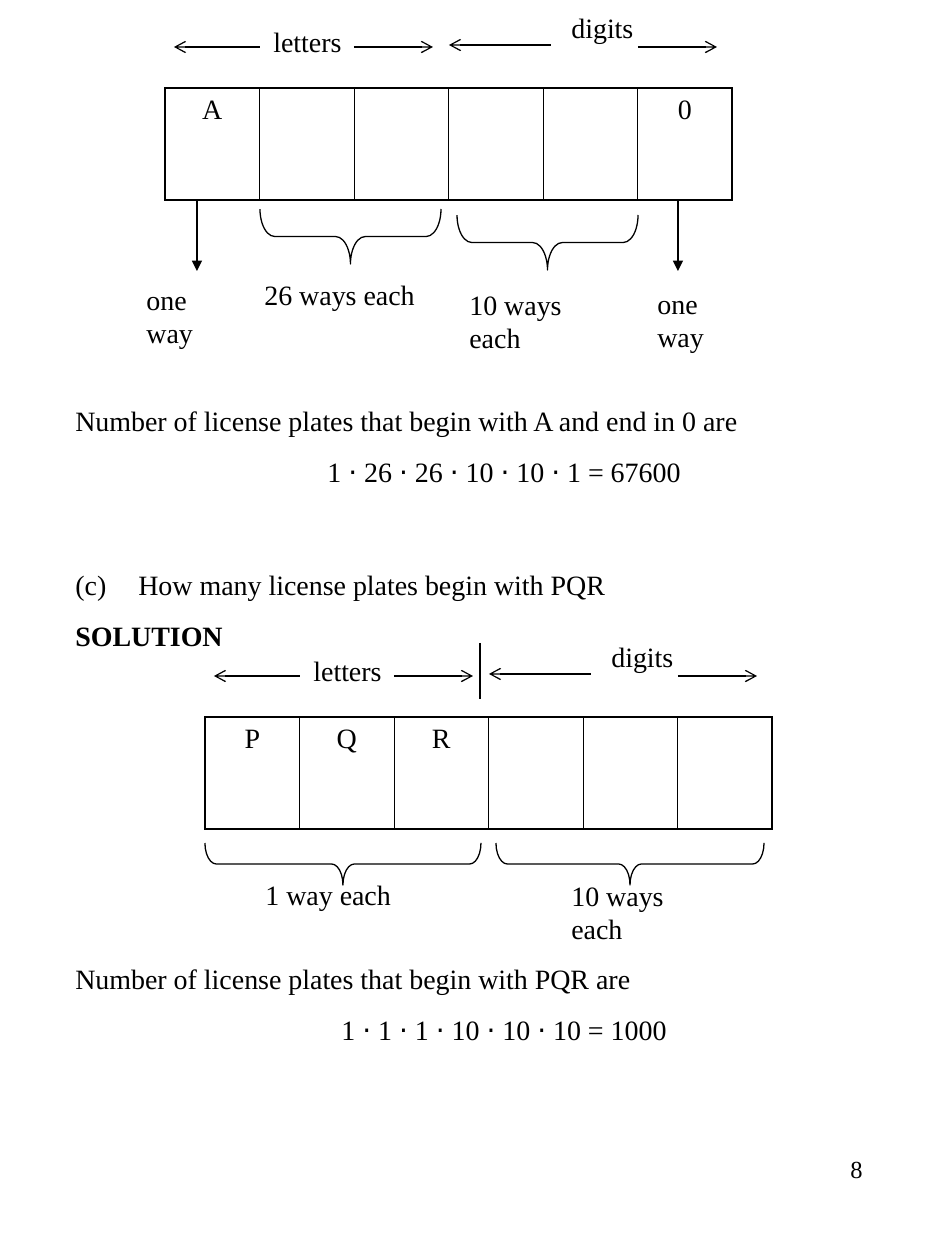
from dataclasses import dataclass

from lxml import etree
from pptx import Presentation
from pptx.dml.color import RGBColor
from pptx.enum import shapes, text
from pptx.oxml.ns import qn
from pptx.util import Pt

PX = 914400 / 126
SERIF = "Times New Roman"
DOT = "⋅"
BLACK = "000000"
LEFT, CENTER, RIGHT = text.PP_ALIGN.LEFT, text.PP_ALIGN.CENTER, text.PP_ALIGN.RIGHT


@dataclass
class Label:
    words: str
    x: int
    y: int
    width: int
    wrap: bool = False
    height: int = 47
    size: int = 16
    align: text.PP_ALIGN = LEFT


@dataclass
class Stroke:
    x1: int
    y1: int
    x2: int
    y2: int
    head: str = ""
    tail: str = ""


@dataclass
class Brace:
    x: int
    y: int
    width: int
    height: int


@dataclass
class Line:
    words: str
    align: text.PP_ALIGN = LEFT
    bold: bool = False


@dataclass
class Passage:
    y: int
    height: int
    lines: list[Line]


@dataclass
class Plate:
    x: int
    y: int
    symbols: str


PLATES = [Plate(165, 88, "A    0"), Plate(205, 717, "PQR   ")]
PLATE_WIDTH, PLATE_HEIGHT = 567, 112

PLATE_LABELS = [Label("letters", 96, -70, 93), Label("digits", 394, -84, 87)]
PLATE_ARROWS = [
    Stroke(9, -41, 95, -41, head="arrow"),
    Stroke(189, -41, 268, -41, tail="arrow"),
    Stroke(284, -43, 386, -43, head="arrow"),
    Stroke(473, -41, 552, -41, tail="arrow"),
]

WAYS = [
    Label("26 ways each", 252, 271, 189, wrap=True),
    Label("10 ways each", 457, 281, 175),
    Label("one way", 134, 276, 118),
    Label("one way", 645, 280, 118),
    Label("1 way each", 253, 871, 189, wrap=True),
    Label("10 ways each", 559, 872, 175),
]
PAGE_NUMBER = Label("8", 678, 1148, 197, wrap=True, height=84, size=14, align=RIGHT)

STROKES = [
    Stroke(197, 200, 197, 271, tail="triangle"),
    Stroke(678, 200, 678, 271, tail="triangle"),
    Stroke(480, 643, 480, 699),
]
BRACES = [
    Brace(260, 209, 181, 55),
    Brace(457, 215, 181, 55),
    Brace(205, 843, 276, 42),
    Brace(496, 843, 268, 42),
]
PASSAGES = [
    Passage(397, 97, [
        Line("Number of license plates that begin with A and end in 0 are"),
        Line("1 ⋅ 26 ⋅ 26 ⋅ 10 ⋅ 10 ⋅ 1 = 67600", CENTER),
    ]),
    Passage(561, 149, [
        Line("(c)\tHow many license plates begin with PQR"),
        Line("SOLUTION", bold=True),
    ]),
    Passage(955, 97, [
        Line("Number of license plates that begin with PQR are"),
        Line("1 ⋅ 1 ⋅ 1 ⋅ 10 ⋅ 10 ⋅ 10 = 1000", CENTER),
    ]),
]


def px(length: float) -> int:
    return round(length * PX)


def color(value: str) -> RGBColor:
    return RGBColor.from_string(value)


def add_run(paragraph, words: str, size: int = 16, bold: bool = False, face: str = SERIF) -> None:
    run = paragraph.add_run()
    run.text = words
    run.font.name = face
    run.font.size = Pt(size)
    run.font.bold = bold
    run.font.color.rgb = color(BLACK)


def draw_label(slide, label: Label, dx: int = 0, dy: int = 0) -> None:
    box = slide.shapes.add_textbox(
        px(label.x + dx), px(label.y + dy), px(label.width), px(label.height))
    box.text_frame.word_wrap = label.wrap
    paragraph = box.text_frame.paragraphs[0]
    paragraph.alignment = label.align
    add_run(paragraph, label.words, label.size)


def draw_stroke(slide, stroke: Stroke, dx: int = 0, dy: int = 0) -> None:
    connector = slide.shapes.add_connector(
        shapes.MSO_CONNECTOR.STRAIGHT,
        px(stroke.x1 + dx), px(stroke.y1 + dy), px(stroke.x2 + dx), px(stroke.y2 + dy))
    connector.line.color.rgb = color(BLACK)
    connector.line.width = Pt(0.75)
    properties = connector._element.spPr
    outline = properties.find(qn("a:ln"))
    for tag, kind in (("a:headEnd", stroke.head), ("a:tailEnd", stroke.tail)):
        if kind:
            etree.SubElement(outline, qn(tag), type=kind)
    etree.SubElement(properties, qn("a:effectLst"))


def draw_brace(slide, brace: Brace) -> None:
    shift = (brace.width - brace.height) / 2
    shape = slide.shapes.add_shape(
        shapes.MSO_SHAPE.LEFT_BRACE, px(brace.x + shift), px(brace.y - shift),
        px(brace.height), px(brace.width))
    shape.rotation = 270
    shape.adjustments[0] = 0.27
    shape.shadow.inherit = False
    shape.fill.background()
    shape.line.color.rgb = color(BLACK)
    shape.line.width = Pt(0.75)


def add_border(cell, side: str, width: float) -> None:
    border = etree.SubElement(cell._tc.get_or_add_tcPr(), qn(f"a:ln{side}"), w=str(Pt(width)))
    fill = etree.SubElement(border, qn("a:solidFill"))
    etree.SubElement(fill, qn("a:srgbClr"), val=BLACK)


def draw_plate(slide, plate: Plate) -> None:
    count = len(plate.symbols)
    table = slide.shapes.add_table(
        1, count, px(plate.x), px(plate.y), px(PLATE_WIDTH), px(PLATE_HEIGHT)).table
    for index, symbol in enumerate(plate.symbols):
        table.columns[index].width = px(PLATE_WIDTH / count)
        cell = table.cell(0, index)
        add_border(cell, "L", 1.08 if index == 0 else 0.45)
        add_border(cell, "R", 1.08 if index == count - 1 else 0.45)
        add_border(cell, "T", 1.08)
        add_border(cell, "B", 1.08)
        cell.fill.background()
        if symbol.strip():
            paragraph = cell.text_frame.paragraphs[0]
            paragraph.alignment = CENTER
            paragraph.space_before = Pt(4)
            add_run(paragraph, symbol)
    for label in PLATE_LABELS:
        draw_label(slide, label, plate.x, plate.y)
    for arrow in PLATE_ARROWS:
        draw_stroke(slide, arrow, plate.x, plate.y)


def draw_passage(slide, passage: Passage) -> None:
    frame = slide.shapes.add_textbox(0, px(passage.y), px(945), px(passage.height)).text_frame
    frame.word_wrap = True
    for index, line in enumerate(passage.lines):
        paragraph = frame.add_paragraph() if index else frame.paragraphs[0]
        paragraph.alignment = line.align
        paragraph.space_before = Pt(10)
        properties = paragraph._p.get_or_add_pPr()
        properties.set("marL", str(px(63)))
        properties.set("indent", "0")
        stops = etree.SubElement(properties, qn("a:tabLst"))
        etree.SubElement(stops, qn("a:tab"), pos=str(px(126)), algn="l")
        for part, words in enumerate(line.words.split(DOT)):
            if part:
                add_run(paragraph, DOT, face="Arial")
            add_run(paragraph, words, bold=line.bold)


def main() -> None:
    deck = Presentation()
    deck.slide_width, deck.slide_height = px(945), px(1260)
    slide = deck.slides.add_slide(deck.slide_layouts[6])
    for plate in PLATES:
        draw_plate(slide, plate)
    for brace in BRACES:
        draw_brace(slide, brace)
    for stroke in STROKES:
        draw_stroke(slide, stroke)
    for label in [*WAYS, PAGE_NUMBER]:
        draw_label(slide, label)
    for passage in PASSAGES:
        draw_passage(slide, passage)
    deck.save("out.pptx")


if __name__ == "__main__":
    main()
